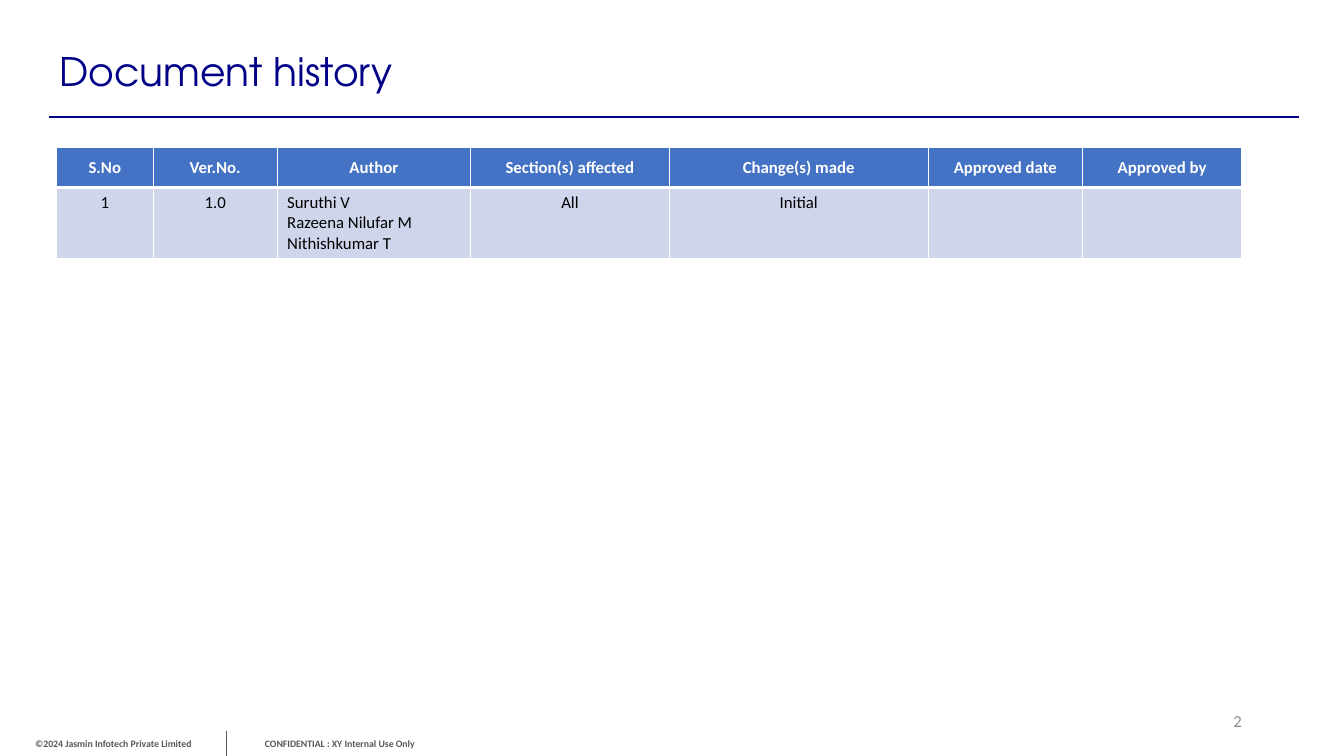
from dataclasses import dataclass

from lxml import etree
from pptx import Presentation
from pptx import util as u
from pptx.dml.color import RGBColor
from pptx.enum import shapes, text
from pptx.oxml.ns import qn

LEFT, MID, RIGHT = text.PP_ALIGN.LEFT, text.PP_ALIGN.CENTER, text.PP_ALIGN.RIGHT
CENTER, TOP = text.MSO_ANCHOR.MIDDLE, text.MSO_ANCHOR.TOP


@dataclass(frozen=True)
class Theme:
    """Colours, fonts and type sizes."""
    navy: str = "010086"
    rule: str = "000087"
    grey: str = "595959"
    pale: str = "8C8C8C"
    head: str = "4472C4"
    body: str = "CFD5EA"
    white: str = "FFFFFF"
    black: str = "000000"
    face: str = "Calibri"
    display: str = "TeX Gyre Adventor"
    title: int = 28
    normal: int = 12
    small: int = 7


THEME = Theme()


def write(frame, words, size=THEME.normal, color=THEME.black, face=THEME.face,
          bold=False, align=LEFT, anchor=CENTER):
    """Fill a text frame, one paragraph for each line."""
    frame.word_wrap = True
    frame.vertical_anchor = anchor
    for i, line in enumerate(words.split("\n")):
        par = frame.paragraphs[0] if i == 0 else frame.add_paragraph()
        par.alignment = align
        run = par.add_run()
        run.text = line
        font = run.font
        font.size, font.name, font.bold = u.Pt(size), face, bold
        font.color.rgb = RGBColor.from_string(color)


class Page:
    """A slide laid on a grid of 160 columns by 90 rows."""

    def __init__(self, deck, theme):
        """Add a title-only slide to the deck."""
        self.theme = theme
        self.slide = deck.slides.add_slide(deck.slide_layouts[5])
        self.col, self.row = deck.slide_width / 160, deck.slide_height / 90

    def place(self, x, y, w, h):
        """Turn columns and rows into lengths."""
        return (round(x * self.col), round(y * self.row),
                round(w * self.col), round(h * self.row))

    def title(self, words, *area):
        """Move and fill the title."""
        shape = self.slide.shapes.title
        shape.left, shape.top, shape.width, shape.height = self.place(*area)
        write(shape.text_frame, words, size=self.theme.title,
              color=self.theme.navy, face=self.theme.display)

    def label(self, words, *area, **style):
        """Add a text box."""
        box = self.slide.shapes.add_textbox(*self.place(*area))
        write(box.text_frame, words, **style)

    def line(self, x, y, w, h, color, width):
        """Draw a straight line across the given span."""
        left, top, wide, high = self.place(x, y, w, h)
        line = self.slide.shapes.add_connector(
            shapes.MSO_CONNECTOR.STRAIGHT, left, top, left + wide, top + high)
        line.line.color.rgb = RGBColor.from_string(color)
        line.line.width = u.Pt(width)
        etree.SubElement(line._element.spPr, qn("a:effectLst"))

    def edge(self, cell, **widths):
        """Give a cell white borders."""
        props = cell._tc.get_or_add_tcPr()
        for side, width in widths.items():
            line = etree.SubElement(props, qn(f"a:ln{side}"), w=str(u.Pt(width)))
            fill = etree.SubElement(line, qn("a:solidFill"))
            etree.SubElement(fill, qn("a:srgbClr"), val=self.theme.white)

    def table(self, x, y, cols, rows, data):
        """Add a table with a strong head row."""
        area = self.place(x, y, sum(cols), sum(rows))
        table = self.slide.shapes.add_table(len(rows), len(cols), *area).table
        table.horz_banding = False
        for j, wide in enumerate(cols):
            table.columns[j].width = round(wide * self.col)
        for i, (high, line) in enumerate(zip(rows, data)):
            table.rows[i].height = round(high * self.row)
            head = i == 0
            for j, words in enumerate(line):
                cell = table.cell(i, j)
                self.edge(cell, L=1, R=1, T=1 if head else 3, B=3 if head else 1)
                cell.fill.solid()
                cell.fill.fore_color.rgb = RGBColor.from_string(
                    self.theme.head if head else self.theme.body)
                cell.vertical_anchor = CENTER if head else TOP
                if words:
                    write(cell.text_frame, words, bold=head,
                          color=self.theme.white if head else self.theme.black,
                          align=LEFT if "\n" in words else MID,
                          anchor=CENTER if head else TOP)


def main():
    """Build and save the slide."""
    deck = Presentation()
    deck.slide_width, deck.slide_height = u.Inches(13.33), u.Inches(7.5)
    page = Page(deck, THEME)

    foot = dict(size=THEME.small, color=THEME.grey, bold=True, align=MID)
    page.label("CONFIDENTIAL : XY Internal Use Only", 24.96, 87.24, 31, 2.64, **foot)
    page.label("©2024 Jasmin Infotech Private Limited", 0, 87.24, 27, 2.64, **foot)
    page.line(27, 87, 0, 3, THEME.grey, 0.5)
    page.line(5.88, 13.92, 148.8, 0, THEME.rule, 1.5)
    page.title("Document history", 5.88, 5.04, 134.3, 6.84)
    page.label("2", 113.04, 83.4, 36, 4.8, color=THEME.pale, align=RIGHT)

    cols = [11.52, 14.76, 23.04, 23.64, 30.84, 18.36, 18.96]
    data = [
        ["S.No", "Ver.No.", "Author", "Section(s) affected", "Change(s) made",
         "Approved date\u00a0".strip(), "Approved by"],
        ["1", "1.0", "Suruthi V\nRazeena Nilufar M\nNithishkumar T", "All",
         "Initial", "", ""],
    ]
    page.table(6.72, 17.52, cols, [4.8, 8.5], data)
    deck.save("out.pptx")


if __name__ == "__main__":
    main()
